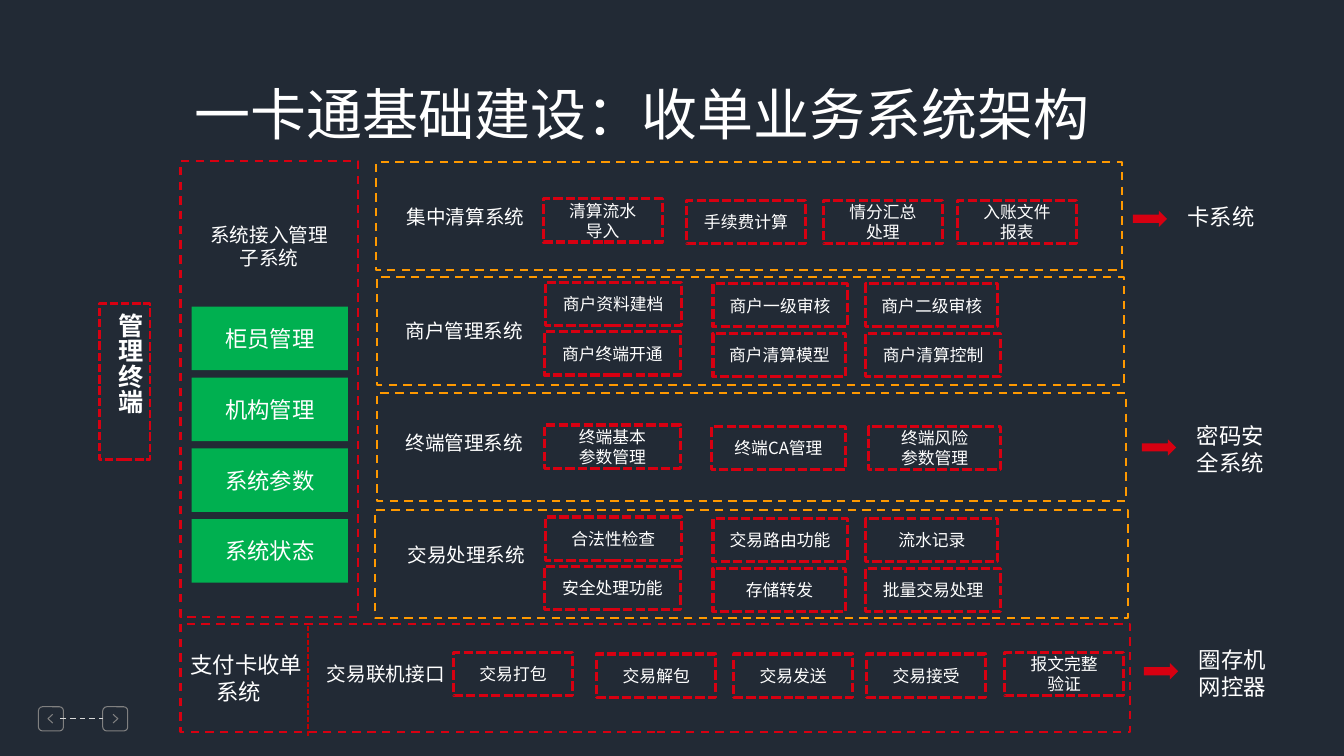
from pptx import Presentation
from pptx.dml.color import RGBColor
from pptx.enum.dml import MSO_LINE
from pptx.enum.shapes import MSO_CONNECTOR, MSO_SHAPE
from pptx.enum.text import MSO_ANCHOR, MSO_AUTO_SIZE, PP_ALIGN
from pptx.oxml.ns import qn
from pptx.util import Cm, Pt
from lxml import etree

RECT, ROUNDED, ARROW = MSO_SHAPE.RECTANGLE, MSO_SHAPE.ROUNDED_RECTANGLE, MSO_SHAPE.RIGHT_ARROW
DASH, SQUARE_DASH = MSO_LINE.DASH, MSO_LINE.SQUARE_DOT
LEFT, CENTER = PP_ALIGN.LEFT, PP_ALIGN.CENTER
TOP, MIDDLE = MSO_ANCHOR.TOP, MSO_ANCHOR.MIDDLE

FONT = "Noto Sans CJK SC"
COLORS = {
    "background": "222A35", "text": "FFFFFF", "red": "D70011", "divider": "C00000",
    "orange": "FF9900", "green": "00B050", "nav": "808080", "nav_line": "D9D9D9",
}

TITLE = "一卡通基础建设：收单业务系统架构"
TERMINAL = "管理终端"
ACCESS = "系统接入管理子系统"
ACCESS_MODULES = ["柜员管理", "机构管理", "系统参数", "系统状态"]
ACQUIRING = ["支付卡收单", "系统"]

PANELS = [
    (9.47, 4.09, 18.8), (9.5, 6.99, 18.82), (9.5, 9.91, 18.87), (9.45, 12.85, 18.97),
]
SYSTEM_LABELS = [
    ("集中清算系统", 9.78, 5.05), ("商户管理系统", 9.75, 7.9),
    ("终端管理系统", 9.75, 10.74), ("交易处理系统", 9.8, 13.56),
    ("交易联机接口", 7.77, 16.56),
]
FOUR_COLUMNS = [(13.69, 3), (17.3, 3), (20.75, 3), (24.13, 3)]
UPPER_COLUMNS = [(13.74, 3.43), (17.97, 3.38), (21.82, 3.33)]
LOWER_COLUMNS = [(13.72, 3.43), (17.97, 3.35), (21.82, 3.4)]
TERMINAL_COLUMNS = [(13.72, 3.43), (17.93, 3.38), (21.89, 3.33)]
INTERFACE_COLUMNS = [(11.43, 3), (15.04, 3), (18.49, 3), (21.84, 3), (25.32, 3)]
FUNCTION_ROWS = [
    (5.05, FOUR_COLUMNS, ["清算流水\n导入", "手续费计算", "情分汇总\n处理", "入账文件\n报表"]),
    (7.15, UPPER_COLUMNS, ["商户资料建档", "商户一级审核", "商户二级审核"]),
    (8.4, LOWER_COLUMNS, ["商户终端开通", "商户清算模型", "商户清算控制"]),
    (10.75, TERMINAL_COLUMNS, ["终端基本\n参数管理", "终端CA管理", "终端风险\n参数管理"]),
    (13.07, UPPER_COLUMNS, ["合法性检查", "交易路由功能", "流水记录"]),
    (14.32, LOWER_COLUMNS, ["安全处理功能", "存储转发", "批量交易处理"]),
    (16.48, INTERFACE_COLUMNS, ["交易打包", "交易解包", "交易发送", "交易接受", "报文完整\n验证"]),
]
RAISED = {"清算流水\n导入", "商户资料建档", "商户终端开通", "终端基本\n参数管理",
          "合法性检查", "安全处理功能", "交易打包", "报文完整\n验证"}
DESTINATIONS = [
    ("卡系统", 28.55, 5.31, 5.0, 0.94), ("密码安全系统", 28.78, 11.07, 10.52, 1.63),
    ("圈存机\n网控器", 28.83, 16.71, 16.15, 1.63),
]
NAV_BUTTONS = [(0.97, 1.33, 1.21), (2.59, 2.85, 2.97)]


def rgb(key):
    return RGBColor.from_string(COLORS[key])


def write(part, text, size, align=CENTER, anchor=MIDDLE, wrap=True, bold=False):
    frame = part.text_frame
    frame.text = text
    settings = {"word_wrap": wrap, "auto_size": MSO_AUTO_SIZE.NONE, "vertical_anchor": anchor}
    for name, value in settings.items():
        setattr(frame, name, value)
    for paragraph in frame.paragraphs:
        paragraph.alignment = align
        for run in paragraph.runs:
            for name, value in {"name": FONT, "size": Pt(size), "bold": bold}.items():
                setattr(run.font, name, value)
            run.font.color.rgb = rgb("text")
            etree.SubElement(run.font._element, qn("a:ea")).set("typeface", FONT)
    return frame


def stroke(line, color, width, dash=None):
    line.color.rgb = rgb(color)
    line.width = Pt(width)
    if dash:
        line.dash_style = dash


def outlined(box, color, width, dash=None, kind=RECT):
    part = slide.shapes.add_shape(kind, *map(Cm, box))
    part.shadow.inherit = False
    part.fill.background()
    stroke(part.line, color, width, dash)
    return part


def filled(box, color, kind=RECT):
    part = slide.shapes.add_shape(kind, *map(Cm, box))
    part.shadow.inherit = False
    part.fill.solid()
    part.fill.fore_color.rgb = rgb(color)
    part.line.fill.background()
    return part


def label(box, text, size, align=CENTER):
    write(slide.shapes.add_textbox(*map(Cm, box)), text, size, align, TOP)


def connect(start, end, color, width, dash):
    link = slide.shapes.add_connector(MSO_CONNECTOR.STRAIGHT, *map(Cm, start + end))
    stroke(link.line, color, width, dash)
    etree.SubElement(link._element.spPr, qn("a:effectLst"))


presentation = Presentation()
presentation.slide_width, presentation.slide_height = Cm(33.87), Cm(19.05)
slide = presentation.slides.add_slide(presentation.slide_layouts[5])
slide.background.fill.solid()
slide.background.fill.fore_color.rgb = rgb("background")

for button_x, chevron_base, chevron_tip in NAV_BUTTONS:
    outlined((button_x, 17.81, 0.63, 0.61), "nav", 0.75, kind=ROUNDED)
    builder = slide.shapes.build_freeform(Cm(chevron_base), Cm(18.0))
    builder.add_line_segments(
        [(Cm(chevron_tip), Cm(18.11)), (Cm(chevron_base), Cm(18.22))], close=False)
    chevron = builder.convert_to_shape()
    chevron.shadow.inherit = False
    chevron.fill.background()
    stroke(chevron.line, "nav", 0.75)
connect((1.52, 18.11), (2.59, 18.11), "nav_line", 1, DASH)

title = slide.shapes.title
for side, length in {"left": 4.52, "top": 1.88, "width": 23.32, "height": 1.96}.items():
    setattr(title, side, Cm(length))
write(title, TITLE, 40, anchor=TOP, wrap=False)

terminal = outlined((2.51, 7.65, 1.27, 3.94), "red", 2, SQUARE_DASH)
terminal_frame = write(terminal, TERMINAL, 18, anchor=TOP, bold=True)
terminal_frame.margin_bottom = Cm(1)
terminal_frame._txBody.bodyPr.set("vert", "eaVert")

outlined((4.55, 4.06, 4.47, 11.48), "red", 1.5, DASH)
label((4.83, 5.49, 3.91, 1.45), ACCESS, 14)
for index, module in enumerate(ACCESS_MODULES):
    write(filled((4.83, 7.73 + index * 1.785, 3.94, 1.6), "green"), module, 16)

for x, y, width in PANELS:
    outlined((x, y, width, 2.72), "orange", 1.5, DASH)
acquiring = outlined((4.55, 15.72, 23.93, 2.72), "red", 1.5, DASH)
acquiring_frame = write(acquiring, "\n".join(ACQUIRING), 16, LEFT)
acquiring_frame.paragraphs[1]._p.get_or_add_pPr().set("marL", str(Cm(0.65)))
connect((7.77, 15.77), (7.77, 18.54), "divider", 1.25, SQUARE_DASH)

for system, x, y in SYSTEM_LABELS:
    label((x, y, 3.91, 0.86), system, 14)
for y, columns, functions in FUNCTION_ROWS:
    for (x, width), function in zip(columns, functions):
        top = y - 0.04 if function in RAISED else y
        write(outlined((x, top, width, 1.09), "red", 2.25, SQUARE_DASH), function, 12)

for destination, x, arrow_y, text_y, height in DESTINATIONS:
    filled((x, arrow_y, 0.86, 0.41), "red", ARROW)
    label((x + 1.13, text_y, 2.69, height), destination, 16, LEFT)

presentation.save("out.pptx")
